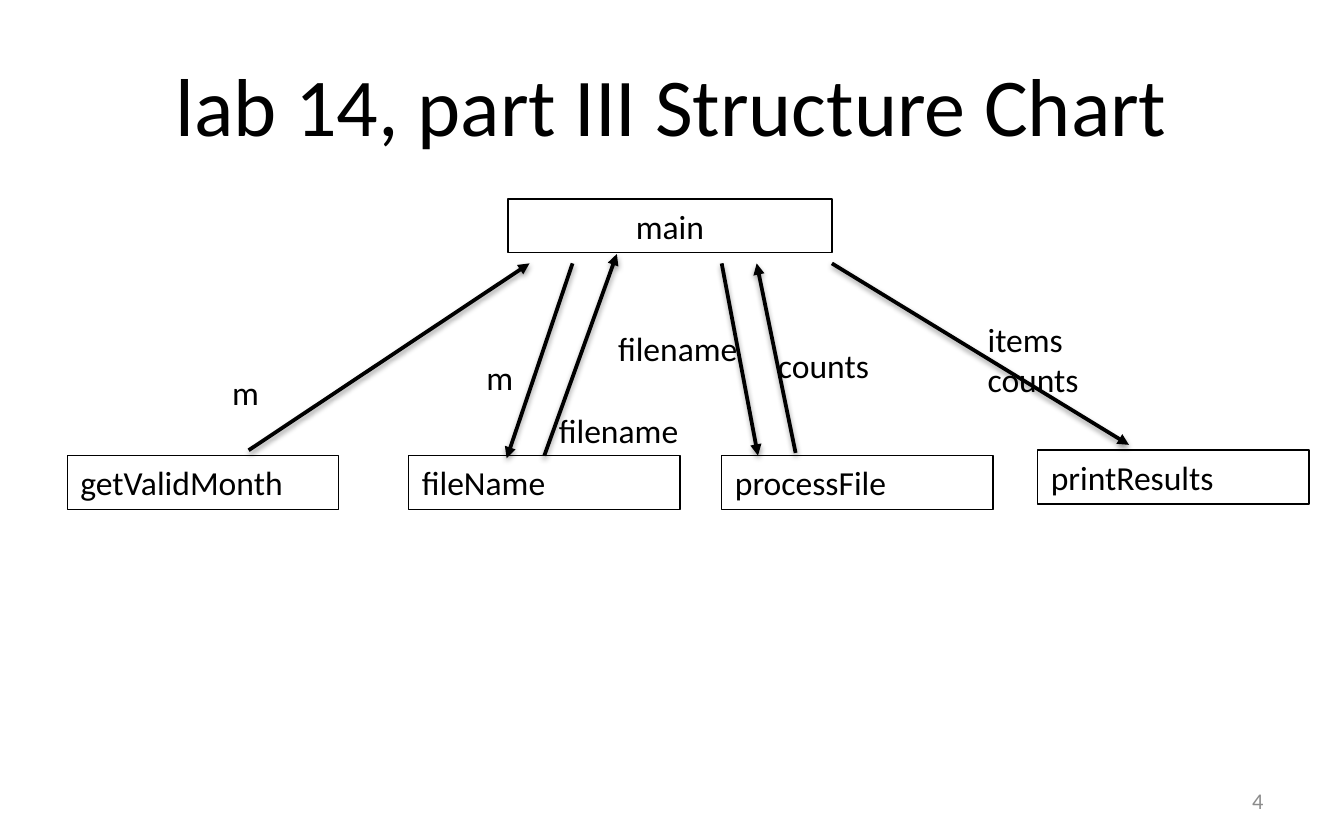
from lxml import etree
from pptx import Presentation
from pptx.dml.color import RGBColor
from pptx.enum.shapes import MSO_CONNECTOR, MSO_SHAPE
from pptx.enum.text import MSO_ANCHOR, PP_ALIGN
from pptx.oxml.ns import qn
from pptx.util import Inches, Pt

STRAIGHT = MSO_CONNECTOR.STRAIGHT
RECTANGLE = MSO_SHAPE.RECTANGLE
TOP, MIDDLE = MSO_ANCHOR.TOP, MSO_ANCHOR.MIDDLE
LEFT, CENTER, RIGHT = PP_ALIGN.LEFT, PP_ALIGN.CENTER, PP_ALIGN.RIGHT

COLORS = {"ink": "000000", "number": "8C8C8C"}
FONT = "Calibri"
ROW_HEIGHT = 0.4
MODULE_WIDTH = 2.02

MODULES = [
    ("main", 3.28, 0, 2.41, CENTER),
    ("getValidMonth", 0, 1.91, MODULE_WIDTH, LEFT),
    ("fileName", 2.54, 1.91, MODULE_WIDTH, LEFT),
    ("processFile", 4.87, 1.91, MODULE_WIDTH, LEFT),
    ("printResults", 7.22, 1.87, MODULE_WIDTH, LEFT),
]
FLOWS = [
    ((1.35, 1.87), (3.44, 0.48)),
    ((3.55, 1.91), (4.09, 0.41)),
    ((3.76, 0.48), (3.27, 1.93)),
    ((5.42, 1.89), (5.13, 0.48)),
    ((4.87, 0.48), (5.14, 1.91)),
    ((5.69, 0.48), (7.9, 1.83)),
]
FLOW_LABELS = [
    ("m", 1.13, 1.24, 0.5, ROW_HEIGHT),
    ("m", 3.02, 1.13, 0.5, ROW_HEIGHT),
    ("filename", 3.56, 1.52, 1.37, ROW_HEIGHT),
    ("counts", 5.19, 1.04, 0.99, ROW_HEIGHT),
    ("filename", 4, 0.91, 1.12, ROW_HEIGHT),
    ("items\ncounts", 6.75, 0.84, 1.12, 0.71),
]


def color(name):
    return RGBColor.from_string(COLORS[name])


def write(frame, text, size, align=LEFT, anchor=TOP, ink="ink"):
    frame.word_wrap = True
    frame.vertical_anchor = anchor
    frame.text = text
    for paragraph in frame.paragraphs:
        paragraph.alignment = align
        paragraph.font.name = FONT
        paragraph.font.size = Pt(size)
        paragraph.font.color.rgb = color(ink)


def add_label(slide, text, left, top, width, height, size=18, **style):
    label = slide.shapes.add_textbox(
        Inches(left), Inches(top), Inches(width), Inches(height))
    write(label.text_frame, text, size, **style)


def add_module(slide, text, left, top, width, align):
    module = slide.shapes.add_shape(
        RECTANGLE, Inches(left), Inches(top), Inches(width), Inches(ROW_HEIGHT))
    module.shadow.inherit = False
    module.fill.background()
    module.line.color.rgb = color("ink")
    module.line.width = Pt(0.75)
    write(module.text_frame, text, 18, align)


def add_flow(slide, x1, y1, x2, y2):
    flow = slide.shapes.add_connector(
        STRAIGHT, Inches(x1), Inches(y1), Inches(x2), Inches(y2))
    flow.line.color.rgb = color("ink")
    flow.line.width = Pt(2)
    etree.SubElement(flow.line._get_or_add_ln(), qn("a:tailEnd"), type="triangle")
    effects = etree.SubElement(flow._element.spPr, qn("a:effectLst"))
    shadow = etree.SubElement(
        effects, qn("a:outerShdw"), blurRad=str(Pt(3.1)), dist=str(Pt(1.6)),
        dir="5400000", rotWithShape="0")
    tint = etree.SubElement(shadow, qn("a:srgbClr"), val=COLORS["ink"])
    etree.SubElement(tint, qn("a:alpha"), val="38000")


def add_title(slide, text, left, top, width, height):
    title = slide.shapes.title
    title.left, title.top = Inches(left), Inches(top)
    title.width, title.height = Inches(width), Inches(height)
    write(title.text_frame, text, 44, CENTER, MIDDLE)


def add_structure_chart(slide, left, top):
    for text, x, y, width, align in MODULES:
        add_module(slide, text, left + x, top + y, width, align)
    for (x1, y1), (x2, y2) in FLOWS:
        add_flow(slide, left + x1, top + y1, left + x2, top + y2)
    for text, x, y, width, height in FLOW_LABELS:
        add_label(slide, text, left + x, top + y, width, height)


deck = Presentation()
deck.slide_width, deck.slide_height = Inches(10), Inches(6.25)
slide = deck.slides.add_slide(deck.slide_layouts[5])
add_title(slide, "lab 14, part III Structure Chart", 0.5, 0.25, 9, 1.04)
add_label(slide, "4", 7.17, 5.79, 2.33, 0.33, size=12,
          align=RIGHT, anchor=MIDDLE, ink="number")
add_structure_chart(slide, 0.5, 1.48)
deck.save("out.pptx")
